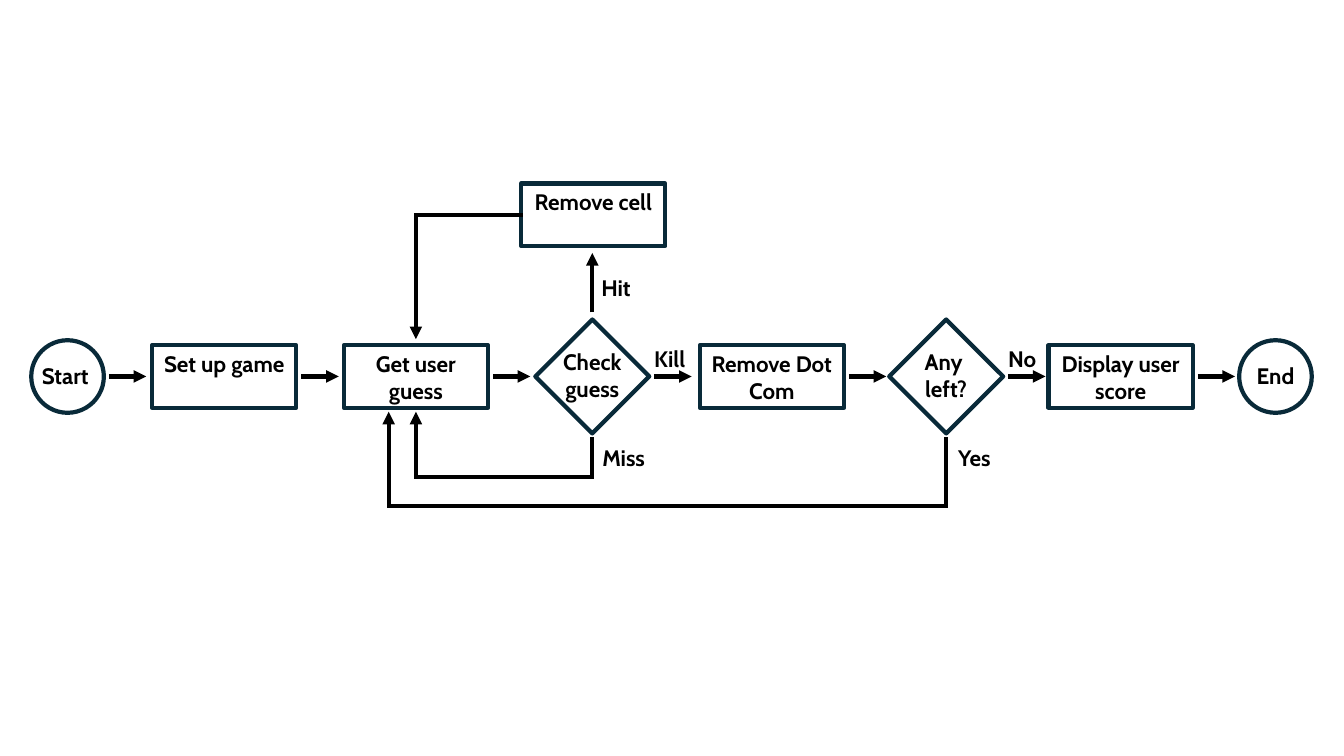
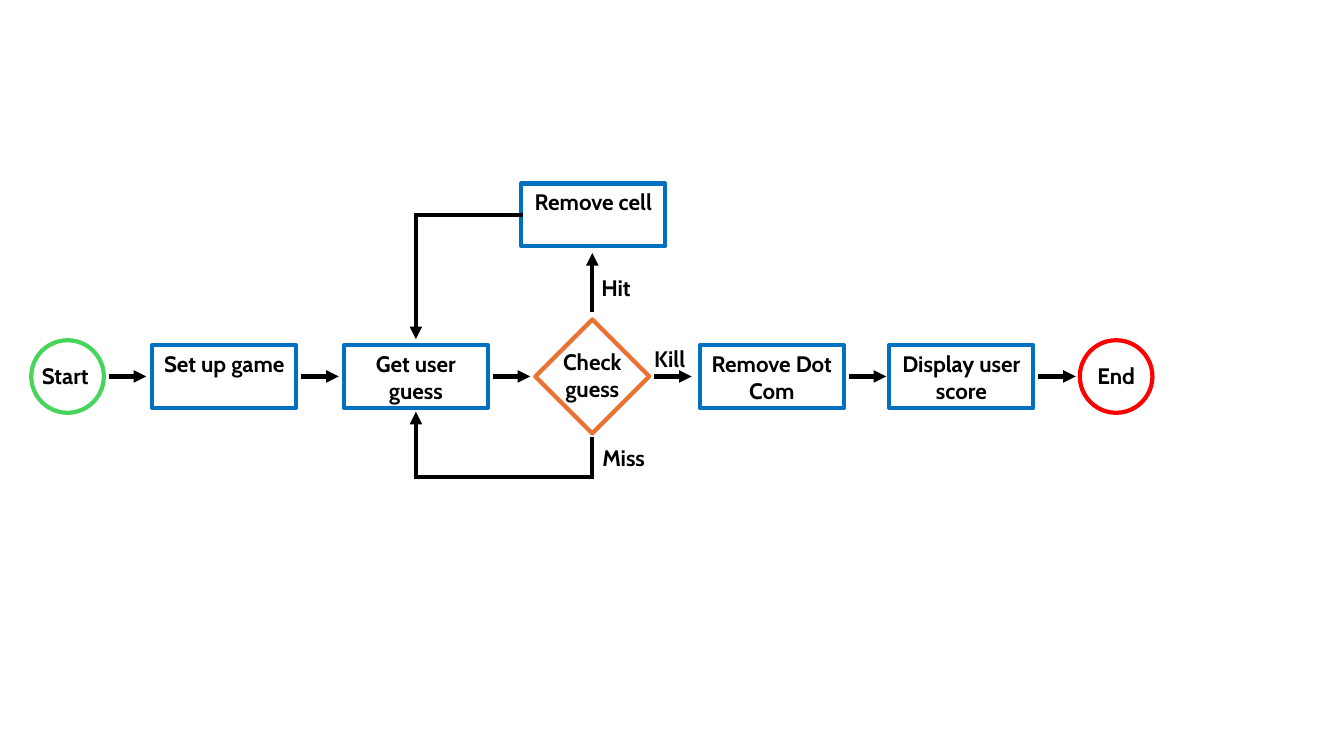
from dataclasses import dataclass
from itertools import pairwise

from lxml.etree import SubElement
from pptx import Presentation
from pptx.dml.color import RGBColor
from pptx.enum.shapes import MSO_CONNECTOR, MSO_SHAPE
from pptx.enum.text import MSO_ANCHOR, PP_ALIGN
from pptx.oxml.ns import qn
from pptx.util import Inches, Pt


@dataclass(frozen=True)
class Theme:
    font: str = "Cabin"
    size: int = 16
    line: int = 3
    ink: str = "000000"
    navy: str = "092A39"
    green: str = "47D45A"
    blue: str = "0070C0"
    orange: str = "E97132"
    red: str = "FF0000"


@dataclass(frozen=True)
class Box:
    x: float
    y: float
    w: float
    h: float

    @property
    def cx(self):
        return self.x + self.w / 2

    @property
    def cy(self):
        return self.y + self.h / 2

    @property
    def right(self):
        return self.x + self.w

    @property
    def bottom(self):
        return self.y + self.h

    def inches(self):
        return [Inches(v) for v in (self.x, self.y, self.w, self.h)]


T = Theme()
PLAIN = dict.fromkeys(("start", "step", "decision", "end"), T.navy)
COLOURED = {"start": T.green, "step": T.blue, "decision": T.orange, "end": T.red}

# kind: preset shape, width, height
KINDS = {
    "start": (MSO_SHAPE.FLOWCHART_CONNECTOR, 0.72, 0.72),
    "step": (MSO_SHAPE.RECTANGLE, 1.43, 0.62),
    "decision": (MSO_SHAPE.DIAMOND, 1.13, 1.13),
    "end": (MSO_SHAPE.FLOWCHART_CONNECTOR, 0.72, 0.72),
}

# kind, text, gap to the node before
OPENING = [
    ("start", "Start", 0),
    ("step", "Set up game", 0.48),
    ("step", "Get user guess", 0.47),
    ("decision", "Check\nguess", 0.47),
    ("step", "Remove Dot Com", 0.5),
]
ANY_LEFT = [("decision", "Any \nleft?", 0.45)]
CLOSING = [
    ("step", "Display user score", 0.45),
    ("end", "End", 0.46),
]
ROW = Box(0.31, 3.17, 12.71, 1.13)


def write(tf, text, align):
    p = tf.paragraphs[0]
    p.alignment = align
    for i, part in enumerate(text.split("\n")):
        if i:
            p.add_line_break()
        r = p.add_run()
        r.text = part
        r.font.name = T.font
        r.font.size = Pt(T.size)
        r.font.bold = True
        r.font.color.rgb = RGBColor.from_string(T.ink)


def node(s, box, kind, text, palette):
    sp = s.shapes.add_shape(KINDS[kind][0], *box.inches())
    sp.shadow.inherit = False
    sp.fill.background()
    sp.line.color.rgb = RGBColor.from_string(palette[kind])
    sp.line.width = Pt(T.line)
    tf = sp.text_frame
    tf.word_wrap = kind != "decision"
    if kind == "step":
        tf.vertical_anchor = MSO_ANCHOR.TOP
    else:
        tf.vertical_anchor = MSO_ANCHOR.MIDDLE
        tf.margin_left = tf.margin_right = tf.margin_top = 0
        tf.margin_bottom = Inches(0.02)
    write(tf, text, PP_ALIGN.LEFT if kind == "start" else PP_ALIGN.CENTER)
    return sp


def label(s, x, y, w, text):
    tb = s.shapes.add_textbox(*Box(x, y, w, 0.37).inches())
    tb.text_frame.word_wrap = True
    write(tb.text_frame, text, PP_ALIGN.LEFT)


def route(s, *points):
    """Draw straight lines through the points, with an arrowhead at the last."""
    lines = []
    for start, end in pairwise(points):
        cn = s.shapes.add_connector(
            MSO_CONNECTOR.STRAIGHT, *(Inches(v) for v in (*start, *end)))
        cn.line.color.rgb = RGBColor.from_string(T.ink)
        cn.line.width = Pt(T.line)
        if len(points) > 2:
            cn.line._get_or_add_ln().set("cap", "sq")
        SubElement(cn._element.spPr, qn("a:effectLst"))
        lines.append(cn)
    ln = lines[-1].line._get_or_add_ln()
    SubElement(ln, qn("a:tailEnd"), type="triangle")
    return lines


def main_row(s, row, steps, palette):
    """Place the nodes along the row's middle and return their boxes by text."""
    boxes = {}
    right = row.x
    for kind, text, gap in steps:
        _, w, h = KINDS[kind]
        if boxes:
            x = right + 0.05
            route(s, (x, row.cy), (x + 0.37, row.cy))
        box = Box(right + gap, row.cy - h / 2, w, h)
        node(s, box, kind, text, palette)
        boxes[text] = box
        right = box.right
    return boxes


def guess_loop(s, get, check, palette):
    """Place the hit, miss and kill branches around the check."""
    cell = Box(check.x - 0.14, check.y - 1.35, *KINDS["step"][1:])
    cell_sp = node(s, cell, "step", "Remove cell", palette)
    route(s, (check.cx, check.y - 0.07), (check.cx, cell.bottom + 0.07))
    back = route(s, (cell.x, cell.cy), (get.cx, cell.cy), (get.cx, get.y - 0.06))
    back[0].begin_connect(cell_sp, 1)
    turn = check.bottom + 0.43
    route(s, (check.cx, check.bottom + 0.06), (check.cx, turn),
          (get.cx, turn), (get.cx, get.bottom + 0.04))
    label(s, check.cx - 0.01, check.y - 0.5, 0.55, "Hit")
    label(s, check.cx, check.bottom + 0.06, 0.79, "Miss")
    label(s, check.right - 0.05, check.y + 0.2, 0.58, "Kill")


def replay_loop(s, get, left):
    """Place the yes and no branches of the last decision."""
    turn = left.bottom + 0.72
    target = get.cx - 0.27
    route(s, (left.cx, left.bottom + 0.06), (left.cx, turn),
          (target, turn), (target, get.bottom + 0.04))
    label(s, left.right - 0.05, left.y + 0.2, 0.58, "No")
    label(s, left.cx + 0.02, left.bottom + 0.06, 0.58, "Yes")


def flow_slide(prs, steps, palette):
    s = prs.slides.add_slide(prs.slide_layouts[6])
    boxes = main_row(s, ROW, steps, palette)
    get = boxes["Get user guess"]
    guess_loop(s, get, boxes["Check\nguess"], palette)
    if "Any \nleft?" in boxes:
        replay_loop(s, get, boxes["Any \nleft?"])


def main():
    prs = Presentation()
    prs.slide_width = Inches(13.33)
    prs.slide_height = Inches(7.5)
    flow_slide(prs, OPENING + ANY_LEFT + CLOSING, PLAIN)
    flow_slide(prs, OPENING + CLOSING, COLOURED)
    prs.save("out.pptx")


if __name__ == "__main__":
    main()
